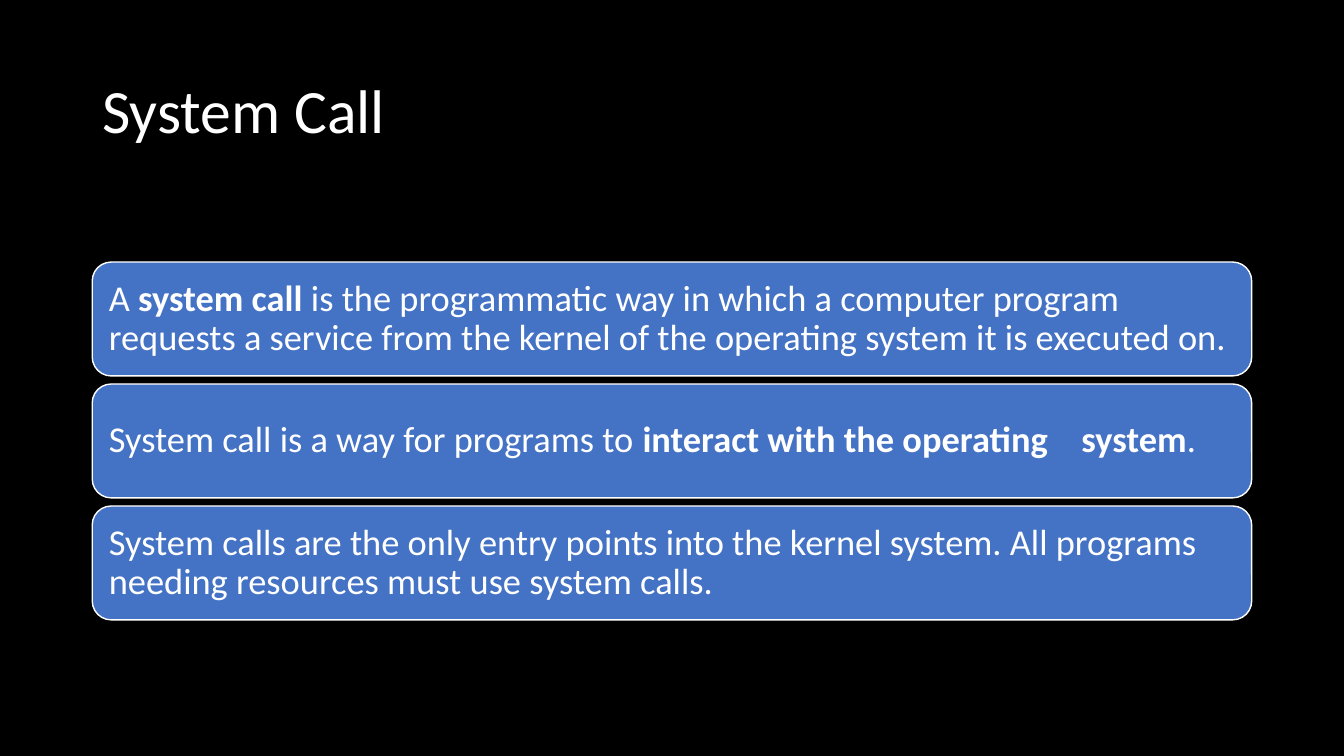
from pptx import Presentation
from pptx.dml.color import RGBColor
from pptx.enum.shapes import MSO_SHAPE
from pptx.enum.text import MSO_ANCHOR, PP_ALIGN
from pptx.util import Inches, Pt

TITLE = "System Call"
# Each statement is a list of (text, bold, extra letter spacing in points).
STATEMENTS = [
    [("A ", False, 0),
     ("system call", True, 0),
     (" is the programmatic way in which a computer program requests a service "
      "from the kernel of the operating system it is executed on.", False, 0)],
    [("System call is a way for programs to ", False, 0),
     ("interact with the operating", True, 0),
     (" ", True, 17.6),
     ("system", True, 0),
     (".", False, 0)],
    [("System calls are the only entry points into the kernel system. "
      "All programs needing resources must use system calls.", False, 0)],
]

COLORS = {"background": "000000", "text": "FFFFFF", "card": "4472C4", "outline": "FFFFFF"}
FONT = "Calibri"
SLIDE_WIDTH, SLIDE_HEIGHT = 13.33, 7.5
CONTENT_WIDTH = 11.5
LEFT = (SLIDE_WIDTH - CONTENT_WIDTH) / 2
TITLE_TOP, TITLE_HEIGHT = 0.4, 1.45
CARDS_TOP, CARD_HEIGHT, CARD_PITCH = 2.6, 1.13, 1.21
CARD_INSET = 0.11


def color(name):
    """Return the palette colour with this name."""
    return RGBColor.from_string(COLORS[name])


def write(shape, spans, size):
    """Write one left-aligned, vertically centred paragraph of spans."""
    frame = shape.text_frame
    frame.word_wrap = True
    frame.vertical_anchor = MSO_ANCHOR.MIDDLE
    para = frame.paragraphs[0]
    para.alignment = PP_ALIGN.LEFT
    para.line_spacing = 0.9
    for text, bold, spacing in spans:
        span = para.add_run()
        span.text = text
        span.font.name = FONT
        span.font.size = Pt(size)
        span.font.bold = bold
        span.font.color.rgb = color("text")
        if spacing:
            span.font._element.set("spc", str(round(spacing * 100)))


def add_card(page, row, spans):
    """Add the rounded card for one statement at its row."""
    card = page.shapes.add_shape(
        MSO_SHAPE.ROUNDED_RECTANGLE, Inches(LEFT), Inches(CARDS_TOP + row * CARD_PITCH),
        Inches(CONTENT_WIDTH), Inches(CARD_HEIGHT))
    card.shadow.inherit = False
    card.fill.solid()
    card.fill.fore_color.rgb = color("card")
    card.line.color.rgb = color("outline")
    card.line.width = Pt(1)
    frame = card.text_frame
    frame.margin_left = frame.margin_right = Inches(CARD_INSET)
    frame.margin_top = frame.margin_bottom = Inches(CARD_INSET)
    write(card, spans, 26)


deck = Presentation()
deck.slide_width, deck.slide_height = Inches(SLIDE_WIDTH), Inches(SLIDE_HEIGHT)
page = deck.slides.add_slide(deck.slide_layouts[6])
page.background.fill.solid()
page.background.fill.fore_color.rgb = color("background")

title_box = page.shapes.add_textbox(
    Inches(LEFT), Inches(TITLE_TOP), Inches(CONTENT_WIDTH), Inches(TITLE_HEIGHT))
write(title_box, [(TITLE, False, 0)], 44)
for row, spans in enumerate(STATEMENTS):
    add_card(page, row, spans)

deck.save("out.pptx")
